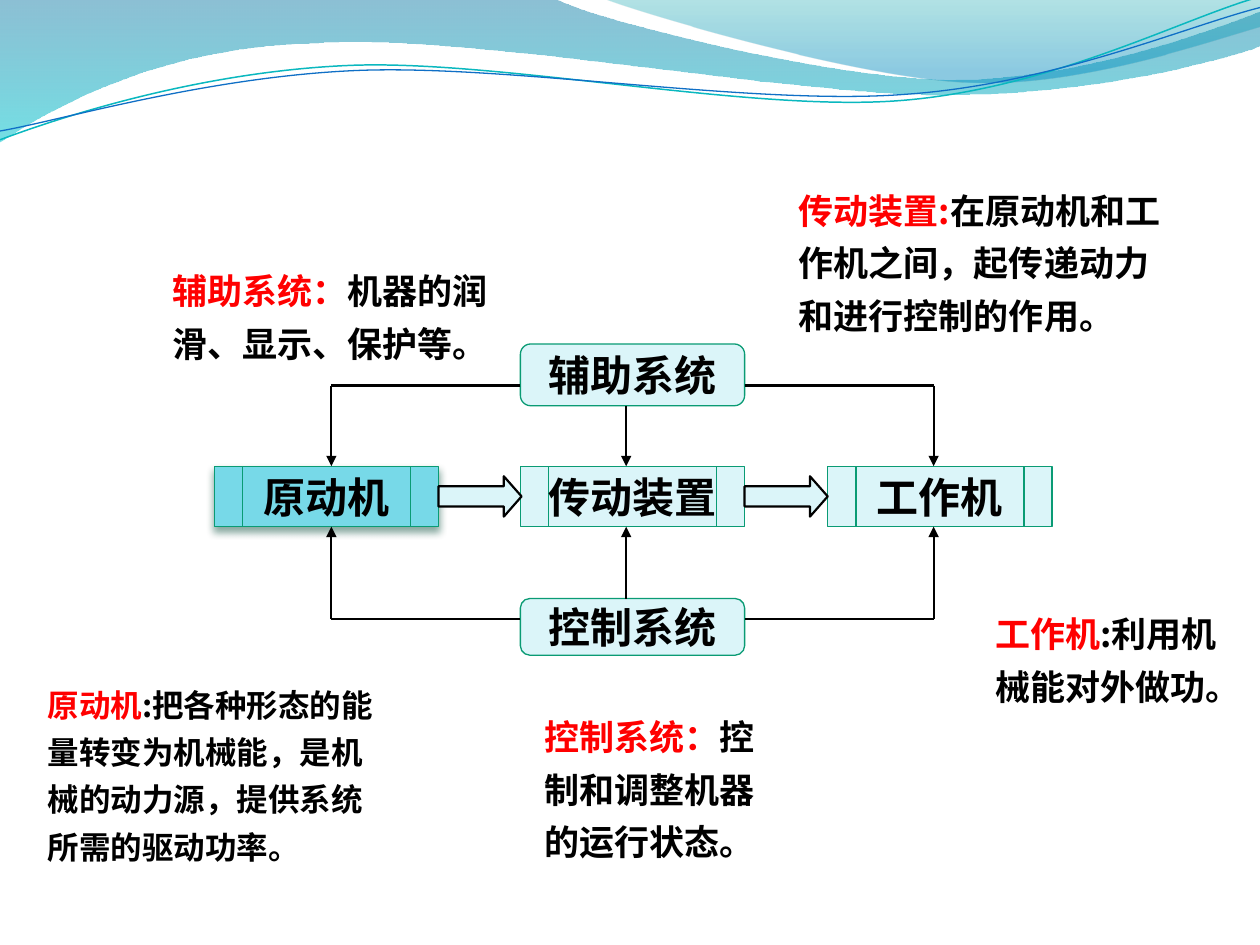
from lxml.etree import SubElement
from pptx import Presentation
from pptx.dml.color import RGBColor
from pptx.enum.shapes import MSO_CONNECTOR, MSO_SHAPE
from pptx.enum.text import MSO_ANCHOR, MSO_AUTO_SIZE, PP_ALIGN
from pptx.oxml.ns import qn
from pptx.util import Inches, Pt

HEX = {"black": "000000", "red": "FF0000", "pale": "DBF5F9", "aqua": "77D9E8",
       "green": "0A9B74", "shade": "044A37", "teal": "0AB8BF", "blue": "0F6FC6",
       "deep": "0074A1", "cyan": "00C6CF", "sea": "00A1A9", "sky": "008BBF"}
RGB = {name: RGBColor.from_string(code) for name, code in HEX.items()}
SANS, SERIF = "Noto Sans CJK SC", "TeX Gyre Pagella"

prs = Presentation()
prs.slide_width, prs.slide_height = Inches(10), Inches(7.5)
slide = prs.slides.add_slide(prs.slide_layouts[6])
shapes = slide.shapes


def draw_wave(start, parts, closed):
    """Draw straight parts (x, y) and cubic Bezier parts (x1, y1, x2, y2, x, y)."""
    form = shapes.build_freeform(Inches(start[0]), Inches(start[1]), scale=1.0)
    for part in parts:
        spots = [(Inches(x), Inches(y)) for x, y in zip(part[::2], part[1::2])]
        form.add_line_segments(spots, close=False)
    if closed:
        form.add_line_segments([], close=True)
    wave = form.convert_to_shape()
    wave.shadow.inherit = False
    # Merge each run of three line nodes into one Bezier node
    nodes = iter(list(wave.element.spPr.iter(qn("a:lnTo"))))
    for part in parts:
        node = next(nodes)
        if len(part) == 6:
            node.tag = qn("a:cubicBezTo")
            for _ in range(2):
                extra = next(nodes)
                node.append(extra[0])
                extra.getparent().remove(extra)
    return wave


def style_run(run, size, font, color):
    run.font.size, run.font.bold, run.font.name = Pt(size), True, font
    run.font.color.rgb = RGB[color]
    SubElement(run.font._element, qn("a:ea"), typeface=SANS)


# Filled waves at the top: stops are (position, colour, opacity in percent)
bands = [
    ((0, 0),
     [(4.4, -0.01), (4.76, 0.17, 6.64, 0.63, 7.58, 0.63),
      (8.53, 0.63, 9.58, 0.26, 10, 0.09), (10.01, 0.36),
      (9.83, 0.44, 8.7, 0.76, 7.46, 0.75), (6.22, 0.75, 3.82, 0.28, 2.57, 0.34),
      (1.29, 0.36, 0.46, 0.83, -0.01, 1.13), (0, 0)],
     [(0, "deep", 45), (1, "cyan", 55)]),
    ((4.79, -0.01),
     [(5.09, 0.11, 6.82, 0.62, 7.69, 0.65), (8.56, 0.69, 9.61, 0.32, 10, 0.21),
      (10, 0), (4.79, -0.01)],
     [(0, "sea", 30), (0.8, "sky", 45)]),
]
for start, parts, stops in bands:
    band = draw_wave(start, parts, True)
    band.line.fill.background()
    band.fill.gradient()
    band.fill.gradient_angle = 270
    for stop, (pos, color, _) in zip(band.fill.gradient_stops, stops):
        stop.position = pos
        stop.color.rgb = RGB[color]
    for node, (_, _, alpha) in zip(band.element.spPr.iter(qn("a:srgbClr")), stops):
        SubElement(node, qn("a:alpha"), val=str(alpha * 1000))

# Thin wave lines
curves = [
    ((0, 1.11), [(0.48, 0.93, 1.58, 0.57, 2.77, 0.52),
                 (3.95, 0.47, 5.93, 0.89, 7.13, 0.8),
                 (8.33, 0.71, 9.38, 0.15, 9.98, -0.02)], "teal", 0.85),
    ((0, 1.04), [(0.47, 0.96, 1.64, 0.61, 2.83, 0.56),
                 (4.03, 0.51, 5.97, 0.84, 7.17, 0.75),
                 (8.36, 0.67, 9.41, 0.21, 10, 0.06)], "blue", 0.75),
]
for start, parts, color, width in curves:
    curve = draw_wave(start, parts, False)
    curve.fill.background()
    curve.line.color.rgb, curve.line.width = RGB[color], Pt(width)

# Flow boxes: three machines in a row, one system above and one below
left, gap, wide = 1.7, 2.43, 1.78
mid, right = left + gap, 6.57
top, tall = 3.7, 0.48
ROUND = MSO_SHAPE.FLOWCHART_ALTERNATE_PROCESS
PANEL = MSO_SHAPE.FLOWCHART_PREDEFINED_PROCESS
boxes = [
    ("辅助系统", ROUND, mid, 2.73, 0.49, "pale", SERIF),
    ("原动机", PANEL, left, top, tall, "aqua", SANS),
    ("传动装置", PANEL, mid, top, tall, "pale", SANS),
    ("工作机", PANEL, right, top, tall, "pale", SERIF),
    ("控制系统", ROUND, mid, 4.75, 0.45, "pale", SERIF),
]
for text, kind, x, y, high, color, font in boxes:
    box = shapes.add_shape(kind, Inches(x), Inches(y), Inches(wide), Inches(high))
    box.shadow.inherit = False
    box.fill.solid()
    box.fill.fore_color.rgb = RGB[color]
    box.line.color.rgb, box.line.width = RGB["green"], Pt(0.75)
    frame = box.text_frame
    frame.text = text
    frame.word_wrap = False
    frame.vertical_anchor = MSO_ANCHOR.MIDDLE
    para = frame.paragraphs[0]
    para.alignment = PP_ALIGN.CENTER
    style_run(para.runs[0], 24, font, "black")
    if color == "aqua":  # only the prime mover casts a shadow
        effect = box.element.spPr.find(qn("a:effectLst"))
        cast = SubElement(effect, qn("a:outerShdw"), blurRad=str(Pt(4.5)),
                          dist=str(Pt(3)), dir="5400000", rotWithShape="0")
        tint = SubElement(cast, qn("a:srgbClr"), val=HEX["shade"])
        SubElement(tint, qn("a:alpha"), val="48000")

# Block arrows between the machines
for x in (left + wide, mid + wide):
    arrow = shapes.add_shape(MSO_SHAPE.RIGHT_ARROW, Inches(x), Inches(3.78),
                             Inches(0.66), Inches(0.32))
    arrow.adjustments[0], arrow.adjustments[1] = 0.5, 0.44
    arrow.shadow.inherit = False
    arrow.fill.solid()
    arrow.fill.fore_color.rgb = RGB["pale"]
    arrow.line.color.rgb, arrow.line.width = RGB["black"], Pt(1.25)

# Lines from each system to the machines: (x1, y1, x2, y2, has arrowhead)
links = []
for bend, edge, goal in ((3.06, 3.22, top), (4.91, 4.75, top + tall)):
    links.append((4.97, edge, 4.97, goal, True))
    for side, turn in ((mid, 2.63), (mid + wide, 7.41)):
        links.append((side, bend, turn, bend, False))
        links.append((turn, bend, turn, goal, True))
for x1, y1, x2, y2, head in links:
    link = shapes.add_connector(MSO_CONNECTOR.STRAIGHT, Inches(x1), Inches(y1),
                                Inches(x2), Inches(y2))
    link.line.color.rgb, link.line.width = RGB["black"], Pt(1.25)
    if head:
        SubElement(link.element.spPr.find(qn("a:ln")), qn("a:tailEnd"), type="triangle")
    SubElement(link.element.spPr, qn("a:effectLst"))

# Notes: red term, black meaning
notes = [
    (6.24, 1.37, 3.15, 1.36, 20, "传动装置:", "在原动机和工作机之间，起传递动力和进行控制的作用。"),
    (0.28, 5.32, 2.83, 1.62, 18, "原动机",
     ":把各种形态的能量转变为机械能，是机械的动力源，提供系统所需的驱动功率。"),
    (7.8, 4.73, 2.2, 0.94, 20, "工作机", ":利用机械能对外做功。"),
    (4.22, 5.55, 2.02, 1.36, 20, "控制系统：", "控制和调整机器的运行状态。"),
    (1.27, 2.01, 2.72, 0.94, 20, "辅助系统：", "机器的润滑、显示、保护等。"),
]
for x, y, w, h, size, term, text in notes:
    frame = shapes.add_textbox(Inches(x), Inches(y), Inches(w), Inches(h)).text_frame
    frame.word_wrap = True
    frame.auto_size = MSO_AUTO_SIZE.SHAPE_TO_FIT_TEXT
    para = frame.paragraphs[0]
    para.line_spacing = 1.25
    for part, color in ((term, "red"), (text, "black")):
        run = para.add_run()
        run.text = part
        style_run(run, size, SANS, color)

prs.save("out.pptx")
